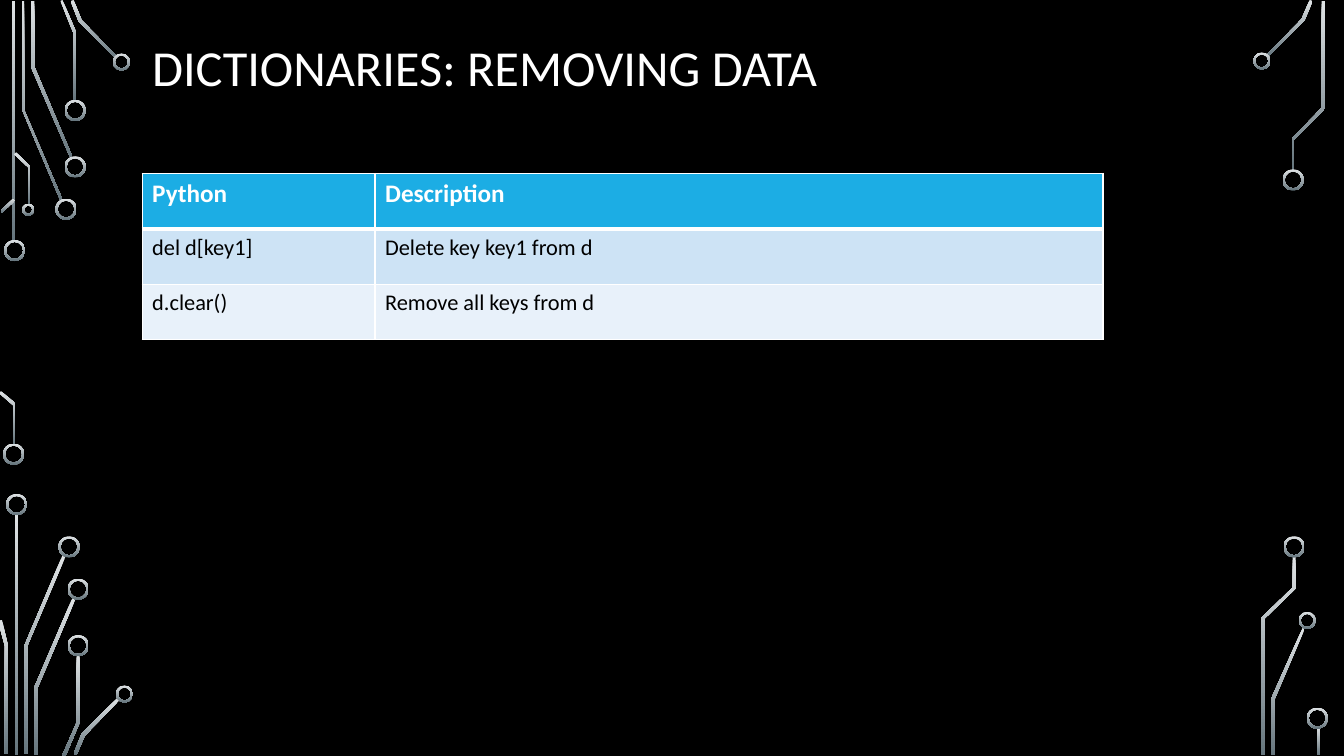
from lxml import etree
from pptx import Presentation
from pptx.dml.color import RGBColor
from pptx.enum.shapes import MSO_SHAPE as Shape
from pptx.enum.text import MSO_ANCHOR as Anchor
from pptx.oxml.ns import qn
from pptx.util import Cm, Pt

BLACK = RGBColor(0x00, 0x00, 0x00)
WHITE = RGBColor(0xFF, 0xFF, 0xFF)
SILVER = RGBColor(0xDF, 0xE3, 0xE5)
SLATE = RGBColor(0x65, 0x75, 0x7D)
HEAD = RGBColor(0x1C, 0xAD, 0xE4)
BANDS = [RGBColor(0xCD, 0xE3, 0xF5), RGBColor(0xE8, 0xF1, 0xFA)]
FONT = "Calibri"
UNIT = Cm(2.54) // 100

BARS = [(12, 1, 239), (15, 510, 239), (1306, 721, 28)]

RINGS = [
    (4, 238, 21), (3, 440, 21), (55, 197, 21), (64, 155, 21), (64, 99, 21),
    (112, 53, 17), (22, 202, 12), (6, 490, 21), (58, 532, 21), (67, 574, 21),
    (67, 630, 21), (115, 680, 17), (1243, 52, 17), (1272, 168, 21),
    (1288, 607, 17), (1273, 532, 21), (1296, 702, 21),
]

TRACES = [
    [(60, 199), (22, 109), (22, 1), (24, 1), (24, 109), (62, 198)],
    [(70, 157), (31, 67), (31, 1), (34, 1), (34, 66), (72, 156)],
    [(76, 100), (73, 100), (73, 33), (60, 1), (62, 0), (76, 33)],
    [(115, 58), (78, 21), (70, 1), (73, 0), (81, 20), (116, 56)],
    [(2, 211), (1, 209), (13, 197), (15, 199)],
    [(15, 441), (13, 441), (13, 402), (-1, 390), (1, 388), (15, 400)],
    [(30, 203), (28, 203), (28, 166), (14, 153), (16, 151), (30, 165)],
    [(27, 748), (24, 748), (24, 641), (62, 551), (65, 552), (27, 641)],
    [(8, 748), (5, 748), (5, 641), (-2, 616), (2, 615), (8, 641)],
    [(37, 749), (34, 749), (34, 682), (72, 593), (75, 594), (37, 683)],
    [(65, 750), (62, 749), (76, 717), (76, 650), (79, 650), (79, 717)],
    [(76, 749), (73, 748), (81, 728), (117, 692), (119, 694), (84, 730)],
    [(1258, 56), (1256, 55), (1291, 19), (1299, 0), (1302, 1), (1294, 20)],
    [(1264, 749), (1261, 749), (1261, 693), (1292, 623), (1294, 624),
     (1264, 694)],
    [(1283, 169), (1281, 169), (1281, 138), (1311, 107), (1311, 1),
     (1314, 1), (1314, 108), (1283, 139)],
    [(1254, 749), (1251, 749), (1251, 613), (1282, 583), (1282, 552),
     (1285, 552), (1285, 584), (1254, 614)],
]

ROWS = [
    ("Python", "Description"),
    ("del d[key1]", "Delete key key1 from d"),
    ("d.clear()", "Remove all keys from d"),
]


def paint(shape):
    shape.shadow.inherit = False
    shape.line.fill.background()
    fill = shape.fill
    fill.gradient()
    fill.gradient_angle = 270
    for stop, tone, spot in zip(fill.gradient_stops, (SILVER, SLATE), (0, 1)):
        stop.color.rgb = tone
        stop.position = spot


def write(para, text, size, tone, bold=False):
    run = para.add_run()
    run.text = text
    font = run.font
    font.name, font.size, font.bold = FONT, Pt(size), bold
    font.color.rgb = tone


deck = Presentation()
deck.slide_width = 1333 * UNIT
deck.slide_height = 750 * UNIT
slide = deck.slides.add_slide(deck.slide_layouts[6])
back = slide.background.fill
back.solid()
back.fore_color.rgb = BLACK
shapes = slide.shapes

for left, top, tall in BARS:
    bar = shapes.add_shape(
        Shape.RECTANGLE, left * UNIT, top * UNIT, 3 * UNIT, tall * UNIT)
    paint(bar)

for trace in TRACES:
    pen = shapes.build_freeform(*trace[0], scale=UNIT)
    pen.add_line_segments(trace[1:], close=True)
    paint(pen.convert_to_shape())

for left, top, size in RINGS:
    ring = shapes.add_shape(
        Shape.DONUT, left * UNIT, top * UNIT, size * UNIT, size * UNIT)
    ring.adjustments[0] = 2 / size
    paint(ring)

title = shapes.add_textbox(141 * UNIT, -11 * UNIT, 1083 * UNIT, 162 * UNIT)
frame = title.text_frame
frame.word_wrap = True
frame.vertical_anchor = Anchor.MIDDLE
para = frame.paragraphs[0]
para.line_spacing = 0.9
write(para, "DICTIONARIES: REMOVING DATA", 36, WHITE)

table = shapes.add_table(
    len(ROWS), 2, 141 * UNIT, 172 * UNIT, 953 * UNIT, 165 * UNIT).table
for col, wide in zip(table.columns, (231, 722)):
    col.width = wide * UNIT

for r, row in enumerate(ROWS):
    table.rows[r].height = 55 * UNIT
    for c, text in enumerate(row):
        cell = table.cell(r, c)
        props = cell._tc.get_or_add_tcPr()
        for side in "LRTB":
            thick = (r, side) in [(0, "B"), (1, "T")]
            edge = etree.SubElement(
                props, qn("a:ln" + side), w=str(Pt(3 if thick else 1)))
            solid = etree.SubElement(edge, qn("a:solidFill"))
            etree.SubElement(solid, qn("a:srgbClr"), val=str(WHITE))
        cell.fill.solid()
        cell.fill.fore_color.rgb = BANDS[(r - 1) % 2] if r else HEAD
        para = cell.text_frame.paragraphs[0]
        if r:
            write(para, text, 16, BLACK)
        else:
            write(para, text, 18, WHITE, True)

deck.save("out.pptx")
